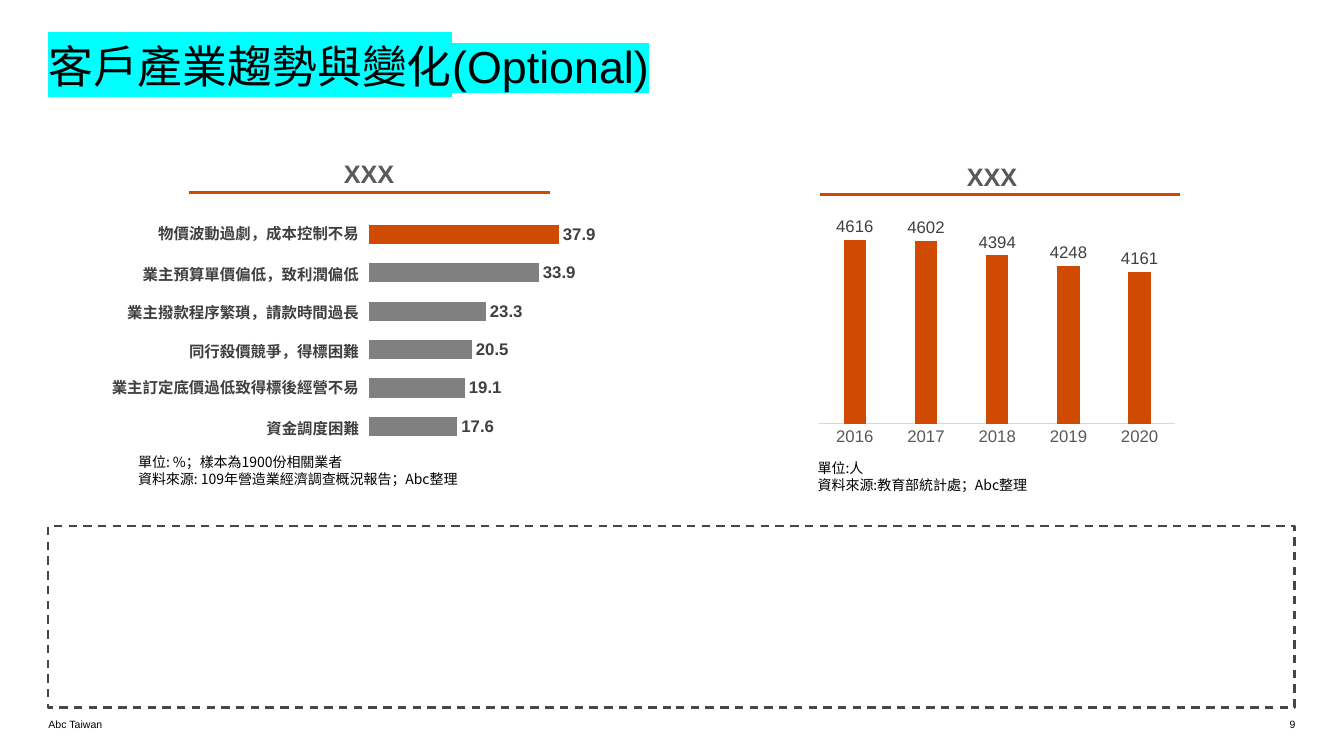
from lxml import etree
from pptx import Presentation
from pptx import util as u
from pptx.chart import data
from pptx.dml.color import RGBColor
from pptx.enum import chart as ch
from pptx.enum import dml, shapes, text
from pptx.oxml import ns

Inches, Pt = u.Inches, u.Pt
LATIN, CJK = "Arial", "Noto Sans CJK SC"
COLORS = {"orange": "D04A02", "gray": "808080", "black": "000000", "heading": "595959",
          "label": "404040", "axis": "D9D9D9", "frame": "464646", "highlight": "00FFFF"}
LEFT, CENTER, RIGHT = text.PP_ALIGN.LEFT, text.PP_ALIGN.CENTER, text.PP_ALIGN.RIGHT
TOP, MIDDLE, BOTTOM = text.MSO_ANCHOR.TOP, text.MSO_ANCHOR.MIDDLE, text.MSO_ANCHOR.BOTTOM

# Cause, percentage, label left, top, width, height
CAUSES = [
    ("物價波動過劇，成本控制不易", 37.9, 1.44, 2.2, 2.22, 0.24),
    ("業主預算單價偏低，致利潤偏低", 33.9, 1.27, 2.6, 2.39, 0.24),
    ("業主撥款程序繁瑣，請款時間過長", 23.3, 1.08, 2.98, 2.58, 0.24),
    ("同行殺價競爭，得標困難", 20.5, 1.53, 3.37, 2.13, 0.24),
    ("業主訂定底價過低致得標後經營不易", 19.1, 0.97, 3.7, 2.69, 0.29),
    ("資金調度困難", 17.6, 1.18, 4.13, 2.48, 0.24),
]
HEADCOUNT = {"2016": 4616, "2017": 4602, "2018": 4394, "2019": 4248, "2020": 4161}


def color(name):
    return RGBColor.from_string(COLORS[name])


def style_font(font, size, name, bold=False, face=LATIN):
    font.size, font.bold, font.name = Pt(size), bold, face
    font.color.rgb = color(name)


def add_text(slide, box, lines, size, name="black", bold=False, face=LATIN, align=LEFT,
             anchor=TOP, inset=True):
    """Add one paragraph whose lines are parted by line breaks."""
    shape = slide.shapes.add_textbox(*map(Inches, box))
    frame = shape.text_frame
    frame.word_wrap, frame.vertical_anchor = True, anchor
    if not inset:
        frame.margin_left = frame.margin_right = frame.margin_top = frame.margin_bottom = 0
    paragraph = frame.paragraphs[0]
    paragraph.alignment = align
    for index, line in enumerate(lines):
        if index:
            paragraph.add_line_break()
        run = paragraph.add_run()
        run.text = line
        style_font(run.font, size, name, bold, face)
        east_asian = etree.SubElement(run.font._element, ns.qn("a:ea"))
        east_asian.set("typeface", CJK)
    return paragraph


def highlight(run, name):
    properties = run.font._element
    mark = etree.Element(ns.qn("a:highlight"))
    etree.SubElement(mark, ns.qn("a:srgbClr")).set("val", COLORS[name])
    properties.find(ns.qn("a:solidFill")).addnext(mark)


def add_heading(slide, left, top, line_left, line_y, line_width):
    add_text(slide, (left, top, 3.62, 0.41), ["XXX"], 18, "heading", True,
             align=CENTER, anchor=MIDDLE)
    line = slide.shapes.add_connector(
        shapes.MSO_CONNECTOR.STRAIGHT, Inches(line_left), Inches(line_y),
        Inches(line_left + line_width), Inches(line_y))
    line.line.color.rgb = color("orange")
    line.line.width = Pt(1.5)
    etree.SubElement(line._element.spPr, ns.qn("a:effectLst"))


def set_plot_area(chart, box):
    """Place the inner plot area by fractions of the chart."""
    plot_area = chart._chartSpace.chart.plotArea
    for old in plot_area.findall(ns.qn("c:layout")):
        plot_area.remove(old)
    layout = etree.Element(ns.qn("c:layout"))
    manual = etree.SubElement(layout, ns.qn("c:manualLayout"))
    settings = [("layoutTarget", "inner"), ("xMode", "edge"), ("yMode", "edge")]
    for tag, value in settings + list(zip("xywh", box)):
        etree.SubElement(manual, ns.qn("c:" + tag)).set("val", str(value))
    plot_area.insert(0, layout)


def add_bars(slide, box, kind, categories, values, limits, gap, plot_box, number_format,
             bold=False):
    chart_data = data.CategoryChartData(number_format=number_format)
    chart_data.categories = categories
    chart_data.add_series("Series 1", values)
    chart = slide.shapes.add_chart(kind, *map(Inches, box), chart_data).chart
    chart.has_legend = chart.has_title = False
    style_font(chart.font, 10, "black")
    set_plot_area(chart, plot_box)

    axis = chart.value_axis
    axis.minimum_scale, axis.maximum_scale = limits
    axis.has_major_gridlines = axis.visible = False

    plot = chart.plots[0]
    plot.gap_width, plot.vary_by_categories = gap, False
    plot.has_data_labels = True
    labels = plot.data_labels
    labels.show_value = True
    labels.position = ch.XL_LABEL_POSITION.OUTSIDE_END
    style_font(labels.font, 12, "label", bold)

    fill = plot.series[0].format.fill
    fill.solid()
    fill.fore_color.rgb = color("orange")
    return chart


def add_causes(slide):
    rows = CAUSES[::-1]
    chart = add_bars(slide, (1.05, 1.94, 5.22, 2.68), ch.XL_CHART_TYPE.BAR_CLUSTERED,
                     [str(number) for number in range(1, len(rows) + 1)],
                     [row[1] for row in rows], (0, 40), 100,
                     (0.501, 0.073, 0.38, 0.853), "0.0", bold=True)
    chart.category_axis.visible = False
    # Only the leading cause stays orange
    for index in range(len(rows) - 1):
        fill = chart.plots[0].series[0].points[index].format.fill
        fill.solid()
        fill.fore_color.rgb = color("gray")
    for cause, _, *box in CAUSES:
        add_text(slide, box, [cause], 11, "label", True, align=RIGHT, anchor=MIDDLE)


def add_headcount(slide):
    chart = add_bars(slide, (8.12, 1.96, 3.58, 2.62), ch.XL_CHART_TYPE.COLUMN_CLUSTERED,
                     list(HEADCOUNT), list(HEADCOUNT.values()), (2000, 5000), 219,
                     (0, 0.058, 0.988, 0.798), "0")
    chart.plots[0].overlap = -27
    axis = chart.category_axis
    axis.major_tick_mark = ch.XL_TICK_MARK.NONE
    axis.format.line.color.rgb = color("axis")
    axis.format.line.width = Pt(0.75)
    style_font(axis.tick_labels.font, 12, "heading")


def add_note(slide, box, lines):
    paragraph = add_text(slide, box, lines, 10, face=CJK, inset=False)
    paragraph.space_after = Pt(6)


def add_frame(slide):
    shape = slide.shapes.add_shape(shapes.MSO_SHAPE.RECTANGLE, Inches(0.48), Inches(5.22),
                                   Inches(12.36), Inches(1.8))
    shape.shadow.inherit = False
    shape.fill.background()
    shape.line.color.rgb = color("frame")
    shape.line.width = Pt(1.5)
    shape.line.dash_style = dml.MSO_LINE.DASH


def main():
    presentation = Presentation()
    presentation.slide_width, presentation.slide_height = Inches(13.33), Inches(7.5)
    slide = presentation.slides.add_slide(presentation.slide_layouts[6])

    # Title
    title = add_text(slide, (0.48, 0.47, 12.36, 1.52), ["客戶產業趨勢與變化(Optional)"], 32,
                     inset=False)
    title.line_spacing = 0.85
    highlight(title.runs[0], "highlight")

    # Left: causes
    add_heading(slide, 1.85, 1.52, 1.87, 1.91, 3.58)
    add_causes(slide)
    add_note(slide, (1.37, 4.5, 3.26, 0.34),
             ["單位: %；樣本為1900份相關業者", "資料來源: 109年營造業經濟調查概況報告；Abc整理"])

    # Right: headcount
    add_heading(slide, 8.03, 1.54, 8.13, 1.93, 3.57)
    add_headcount(slide)
    add_note(slide, (8.11, 4.56, 2.68, 0.34), ["單位:人", "資料來源:教育部統計處；Abc整理"])

    # Empty frame and footer
    add_frame(slide)
    add_text(slide, (0.48, 7.1, 5.99, 0.15), ["Abc Taiwan"], 7.5, anchor=BOTTOM, inset=False)
    add_text(slide, (10.92, 7.1, 1.93, 0.15), ["9"], 7.5, align=RIGHT, anchor=BOTTOM,
             inset=False)
    presentation.save("out.pptx")


if __name__ == "__main__":
    main()
